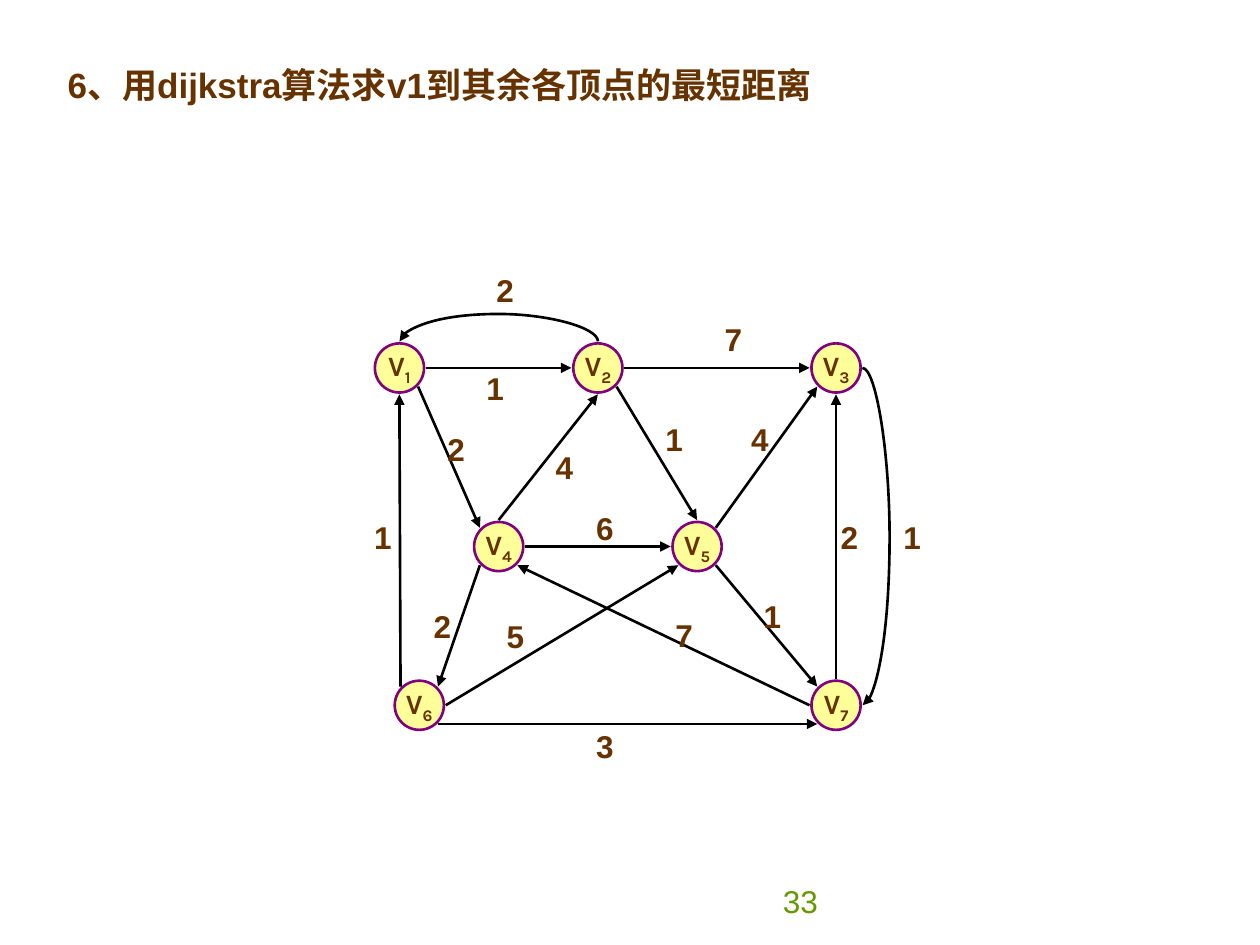
from math import cos, radians, sin
from typing import NamedTuple

from lxml import etree
from pptx import Presentation
from pptx import util as u
from pptx.dml.color import RGBColor
from pptx.enum import shapes, text
from pptx.oxml.ns import qn

STEP = 0.63 / 4  # pitch of the graph grid, inches
LEFT, TOP = 3.17, 2.92  # grid origin: the centre of V1
DIAMETER, REACH = 0.39, 0.21  # edges end just outside the circles
LABEL_W, LABEL_H = 0.34, 0.41
THIN = u.Emu(1588)  # near-zero box width of a curve between level ends
ANGLES = dict(E=0, SE=45, S=90, SW=135, W=180, NW=225, N=270, NE=315)
BROWN, BLACK, WHITE = "663300", "000000", "FFFFFF"


class Vertex(NamedTuple):
    col: int
    row: int


class Edge(NamedTuple):
    start: int
    start_side: str
    end: int
    end_side: str


class Weight(NamedTuple):
    value: int
    col: float
    row: float


VERTICES = {
    1: Vertex(0, 0), 2: Vertex(10, 0), 3: Vertex(22, 0), 4: Vertex(5, 9),
    5: Vertex(15, 9), 6: Vertex(1, 17), 7: Vertex(22, 17),
}
EDGES = [
    Edge(1, "SE", 4, "NW"), Edge(5, "NE", 3, "SW"), Edge(4, "N", 2, "S"),
    Edge(4, "E", 5, "W"), Edge(2, "E", 3, "W"), Edge(1, "E", 2, "W"),
    Edge(2, "SE", 5, "N"), Edge(4, "SW", 6, "NE"), Edge(6, "SE", 7, "SW"),
    Edge(7, "N", 3, "S"), Edge(6, "E", 5, "SW"), Edge(7, "W", 4, "SE"),
    Edge(6, "NW", 1, "S"), Edge(5, "SE", 7, "NW"),
]
WEIGHTS = [
    Weight(1, 25.84, 8.54), Weight(1, 18.8, 12.54), Weight(1, 13.84, 3.59),
    Weight(1, 4.83, 1.05), Weight(1, -0.83, 8.54), Weight(2, 22.67, 8.54),
    Weight(2, 5.33, -3.9), Weight(2, 2.16, 13.05), Weight(2, 2.86, 4.1),
    Weight(3, 10.35, 19.08), Weight(4, 18.16, 3.59), Weight(4, 8.32, 5.05),
    Weight(5, 5.84, 13.56), Weight(6, 10.35, 8.1), Weight(7, 14.35, 13.5),
    Weight(7, 16.83, -1.43),
]


def rgb(value: str) -> RGBColor:
    return RGBColor.from_string(value)


def centre(col: float, row: float) -> tuple[float, float]:
    return LEFT + col * STEP, TOP + row * STEP


def box_at(col: float, row: float, w: float, h: float) -> list[int]:
    """Left, top, width and height of a box centred on a grid point."""
    x, y = centre(col, row)
    return [u.Inches(n) for n in (x - w / 2, y - h / 2, w, h)]


def side(number: int, name: str) -> tuple[int, int]:
    """Point where an edge meets the given side of a vertex."""
    x, y = centre(*VERTICES[number])
    a = radians(ANGLES[name])
    return u.Inches(x + REACH * cos(a)), u.Inches(y + REACH * sin(a))


def write(sp, runs: list[str], size: int, font: str = "Arial",
          color: str = BROWN, bold: bool = True,
          align=text.PP_ALIGN.CENTER, **frame):
    tf = sp.text_frame
    for name, value in frame.items():
        setattr(tf, name, value)
    p = tf.paragraphs[0]
    p.alignment = align
    for words in runs:
        r = p.add_run()
        r.text = words
        for name, value in dict(size=u.Pt(size), name=font, bold=bold).items():
            setattr(r.font, name, value)
        r.font.color.rgb = rgb(color)
    return p


def add_vertex(slide, number: int, vertex: Vertex) -> None:
    sp = slide.shapes.add_shape(shapes.MSO_SHAPE.OVAL,
                                *box_at(*vertex, DIAMETER, DIAMETER))
    sp.shadow.inherit = False
    sp.fill.solid()
    sp.fill.fore_color.rgb = rgb("FFFF99")
    sp.line.color.rgb = rgb("800080")
    sp.line.width = u.Pt(1.5)
    p = write(sp, ["V", str(number)], 16, "Karla", word_wrap=False,
              vertical_anchor=text.MSO_ANCHOR.MIDDLE)
    p.runs[1]._r.get_or_add_rPr().set("baseline", "-25000")


def add_arrow(slide, start, end, kind=shapes.MSO_CONNECTOR.STRAIGHT):
    line = slide.shapes.add_connector(kind, *start, *end)
    line.line.color.rgb = rgb(BLACK)
    line.line.width = u.Pt(1.5)
    etree.SubElement(line.line._get_or_add_ln(), qn("a:tailEnd"), type="triangle")
    etree.SubElement(line._element.spPr, qn("a:effectLst"))
    return line


def add_curve(slide, start, end, bulge: int, rotation: int = 0) -> None:
    """Curved arrow; bulge is in multiples of its thin box's width."""
    line = add_arrow(slide, start, end, shapes.MSO_CONNECTOR.CURVE)
    geom = line._element.spPr.find(qn("a:prstGeom"))
    guides = geom.find(qn("a:avLst"))
    if guides is None:
        guides = etree.SubElement(geom, qn("a:avLst"))
    etree.SubElement(guides, qn("a:gd"), name="adj1", fmla=f"val {bulge * 100000}")
    if rotation:
        line._element.spPr.find(qn("a:xfrm")).set("rot", str(rotation * 60000))


def add_curves(slide) -> None:
    x, y = side(3, "E")
    add_curve(slide, (x, y), (x + THIN, side(7, "E")[1]), 137)
    # The upper curve is an upright one turned about its middle.
    (right, y), (left, _) = side(2, "N"), side(1, "N")
    middle, half = (left + right) // 2, (right - left) // 2
    add_curve(slide, (middle + THIN, y + half), (middle, y - half), -138, 270)


def add_weight(slide, weight: Weight) -> None:
    sp = slide.shapes.add_textbox(*box_at(weight.col, weight.row, LABEL_W, LABEL_H))
    write(sp, [str(weight.value)], 18, word_wrap=False)


def add_title(slide, prs) -> None:
    sp = slide.shapes.title
    place = dict(left=prs.slide_width * 0.04, top=prs.slide_height * 0.06,
                 width=prs.slide_width * 0.618, height=u.Inches(0.44))
    for name, value in place.items():
        setattr(sp, name, int(value))
    sp.fill.solid()
    sp.fill.fore_color.rgb = rgb(WHITE)
    write(sp, ["6、用dijkstra算法求v1到其余各顶点的最短距离"], 20, word_wrap=True,
          auto_size=text.MSO_AUTO_SIZE.NONE, vertical_anchor=text.MSO_ANCHOR.TOP)


def main() -> None:
    prs = Presentation()
    prs.slide_width, prs.slide_height = u.Inches(10), u.Inches(7.5)
    slide = prs.slides.add_slide(prs.slide_layouts[5])
    number = slide.shapes.add_textbox(*map(u.Inches, (3.42, 6.95, 3.17, 0.4)))
    write(number, ["33"], 18, color="669900", bold=False, word_wrap=True,
          align=text.PP_ALIGN.RIGHT, vertical_anchor=text.MSO_ANCHOR.MIDDLE)
    for n, vertex in VERTICES.items():
        add_vertex(slide, n, vertex)
    for e in EDGES:
        add_arrow(slide, side(e.start, e.start_side), side(e.end, e.end_side))
    add_curves(slide)
    for weight in WEIGHTS:
        add_weight(slide, weight)
    add_title(slide, prs)
    prs.save("out.pptx")


if __name__ == "__main__":
    main()
